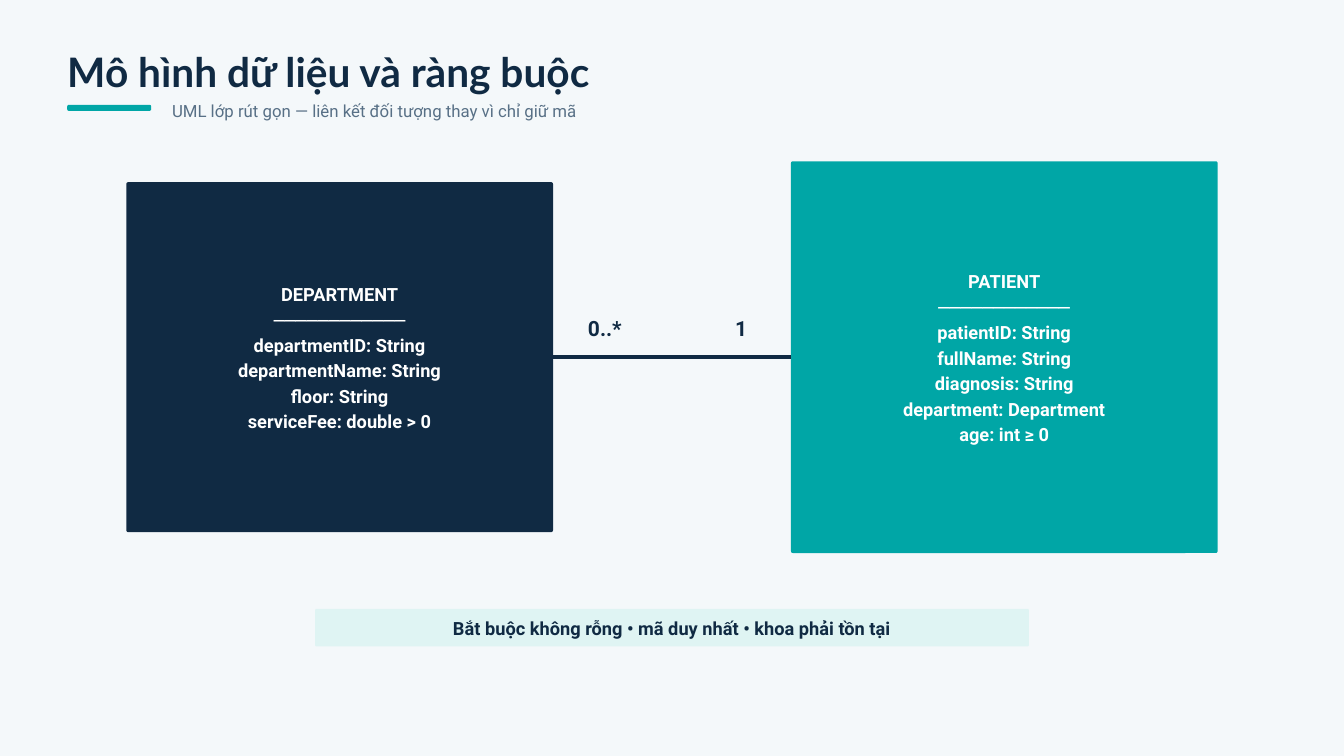
from lxml.etree import SubElement
from pptx import Presentation
from pptx.dml.color import RGBColor
from pptx.enum.shapes import MSO_CONNECTOR, MSO_SHAPE
from pptx.enum.text import MSO_ANCHOR, PP_ALIGN
from pptx.oxml.ns import qn
from pptx.util import Inches, Pt

NAVY, TEAL, MINT = "102A43", "00A6A6", "DFF4F3"
WHITE, SLATE, PALE = "FFFFFF", "587086", "F4F8FA"


def color(hex_text):
    return RGBColor.from_string(hex_text)


def write(box, text, size, spacing, ink=NAVY, font="Roboto", bold=True,
          align=PP_ALIGN.LEFT, anchor=MSO_ANCHOR.TOP, inset=0, bottom=0):
    frame = box.text_frame
    frame.word_wrap = True
    frame.vertical_anchor = anchor
    frame.margin_left = frame.margin_right = frame.margin_top = Inches(inset)
    frame.margin_bottom = Inches(bottom)
    for index, line in enumerate(text.split("\n")):
        para = frame.paragraphs[0] if index == 0 else frame.add_paragraph()
        para.alignment = align
        para.line_spacing = Pt(spacing)
        span = para.add_run()
        span.text = line
        span.font.name = font
        span.font.size = Pt(size)
        span.font.bold = bold
        span.font.color.rgb = color(ink)


deck = Presentation()
deck.slide_width = Inches(20)
deck.slide_height = Inches(11.25)
slide = deck.slides.add_slide(deck.slide_layouts[6])
slide.background.fill.solid()
slide.background.fill.fore_color.rgb = color(PALE)

rule = "─" * 12
department = "\n".join(["DEPARTMENT", rule, "departmentID: String", "departmentName: String",
                        "floor: String", "serviceFee: double > 0"])
patient = "\n".join(["PATIENT", rule, "patientID: String", "fullName: String",
                     "diagnosis: String", "department: Department", "age: int ≥ 0"])
constraint = "Bắt buộc không rỗng • mã duy nhất • khoa phải tồn tại"

panels = [
    (1, 1.56, 1.25, 0.09, 0.025, TEAL, "", WHITE),
    (1.88, 2.71, 6.35, 5.21, 0.03, NAVY, department, WHITE),
    (11.77, 2.4, 6.35, 5.83, 0.03, TEAL, patient, WHITE),
    (4.69, 9.06, 10.62, 0.56, 0.02, MINT, constraint, NAVY),
]
for left, top, width, height, radius, fill, text, ink in panels:
    panel = slide.shapes.add_shape(MSO_SHAPE.ROUNDED_RECTANGLE, Inches(left), Inches(top),
                                   Inches(width), Inches(height))
    panel.adjustments[0] = radius / min(width, height)
    panel.shadow.inherit = False
    panel.fill.solid()
    panel.fill.fore_color.rgb = color(fill)
    panel.line.fill.background()
    if text:
        write(panel, text, 19.5, 27.3, ink=ink, align=PP_ALIGN.CENTER,
              anchor=MSO_ANCHOR.MIDDLE, inset=0.06, bottom=0.09)

association = slide.shapes.add_connector(MSO_CONNECTOR.STRAIGHT, Inches(8.23), Inches(5.31),
                                         Inches(11.77), Inches(5.31))
association.line.color.rgb = color(NAVY)
association.line.width = Pt(3.75)
SubElement(association._element.spPr, qn("a:effectLst"))

labels = [
    (1, 0.67, 15.62, 0.74, "Mô hình dữ liệu và ràng buộc", 43.5, 54.4, {"font": "Lato"}),
    (2.56, 1.48, 15.62, 0.31, "UML lớp rút gọn — liên kết đối tượng thay vì chỉ giữ mã", 18, 22.5,
     {"ink": SLATE, "bold": False}),
    (8.75, 4.68, 1.04, 0.38, "0..*", 22.5, 28.1, {}),
    (10.94, 4.68, 0.52, 0.38, "1", 22.5, 28.1, {}),
]
for left, top, width, height, text, size, spacing, style in labels:
    box = slide.shapes.add_textbox(Inches(left), Inches(top), Inches(width), Inches(height))
    write(box, text, size, spacing, **style)

deck.save("out.pptx")
